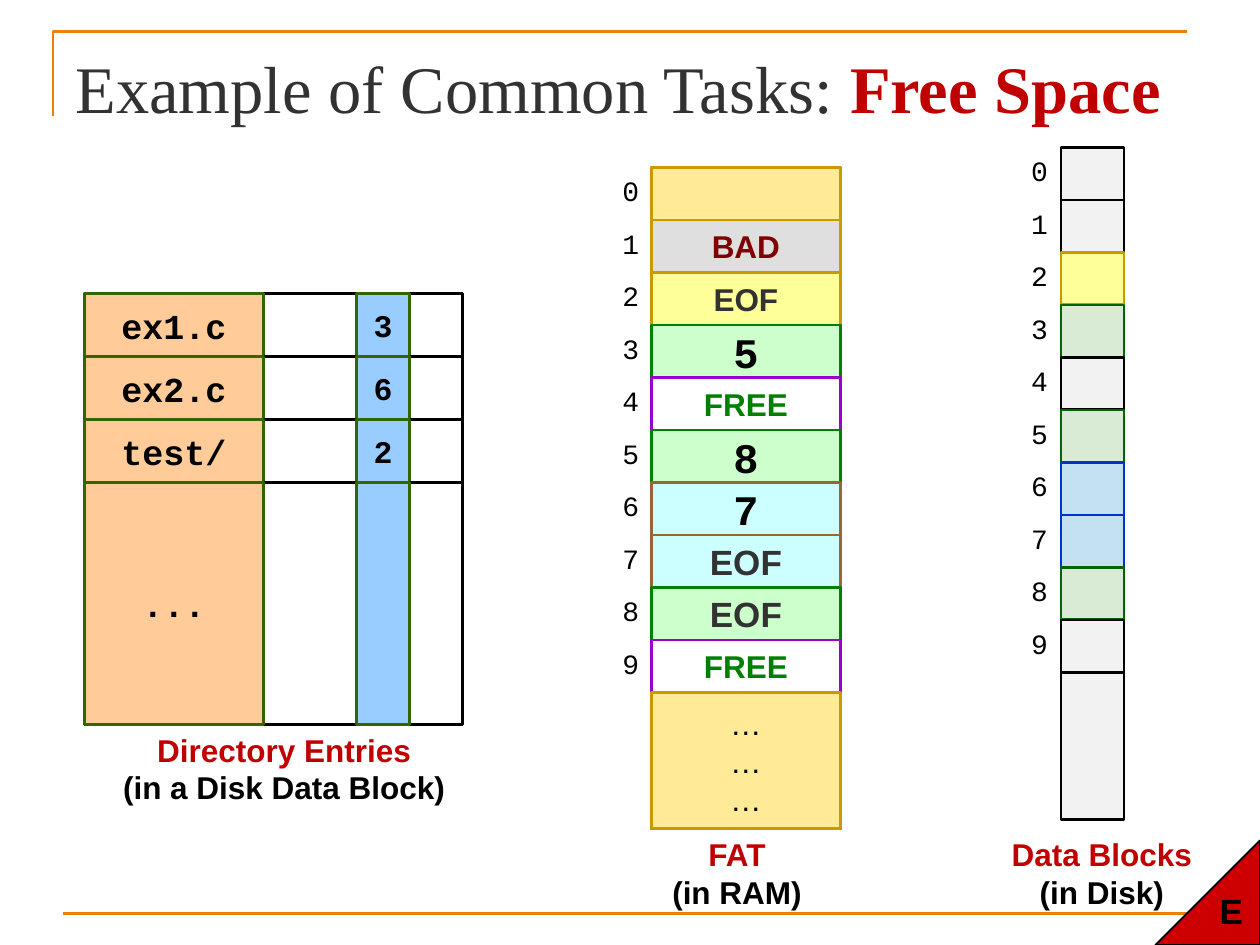
import pptx
import pptx.util
import pptx.dml.color
import pptx.enum.shapes
import pptx.enum.text
import pptx.oxml.ns
import lxml.etree

SANS, MONO, SERIF = "Arial", "Courier New", "Times New Roman"
BLACK, WHITE, RED, DARK, ORANGE = "000000", "FFFFFF", "C00000", "323232", "F07F09"
ROW = 5 / 12  # height of one numbered block

# Content
TITLE = [("Example of Common Tasks: ", DARK, False), ("Free Space", RED, True)]

DIRECTORY = [("ex1.c", "3", 0.5), ("ex2.c", "6", 0.5), ("test/", "2", 0.5), ("...", "", 1.92)]

BIG = dict(size=24, font=MONO, bold=True)
FREE = dict(size=18, color="008000", bold=True)
EOF = dict(size=20, color=DARK, bold=True)
FAT = [  # text, fill, line, format
    ("", "FFEB97", "CC9900", {}),
    ("BAD", "C0C0C0", "CC9900", dict(color="800000", bold=True)),
    ("EOF", "FFFF99", "CC9900", dict(color=DARK, bold=True)),
    ("5", "CCFFCC", "008000", BIG),
    ("FREE", WHITE, "9900CC", FREE),
    ("8", "CCFFCC", "008000", BIG),
    ("7", "CCFFFF", "996633", BIG),
    ("EOF", "CCFFFF", "996633", EOF),
    ("EOF", "CCFFCC", "008000", EOF),
    ("FREE", WHITE, "9900CC", FREE),
]

UNUSED, FOLDER = ("F2F2F2", BLACK), ("FFFF99", "CC9900")
FILE1, FILE2 = ("D9EAD5", "006600"), ("C4E1F2", "0033CC")
DISK = [UNUSED, UNUSED, FOLDER, FILE1, UNUSED, FILE1, FILE2, FILE2, FILE1, UNUSED]

CAPTIONS = [  # lines, left, top, width
    ("Directory Entries", "(in a Disk Data Block)", 0.67, 5.75, 3.17),
    ("FAT", "(in RAM)", 5.15, 6.58, 1.4),
    ("Data Blocks", "(in Disk)", 7.83, 6.58, 1.83),
]

prs = pptx.Presentation()
prs.slide_width, prs.slide_height = pptx.util.Inches(10), pptx.util.Inches(7.5)
s = prs.slides.add_slide(prs.slide_layouts[5])


def rgb(hex_color):
    return pptx.dml.color.RGBColor.from_string(hex_color)


def inches(*values):
    return [pptx.util.Inches(v) for v in values]


def add_run(p, text, size=18, font=SANS, color=BLACK, bold=False):
    r = p.add_run()
    r.text = text
    r.font.size, r.font.name, r.font.bold = pptx.util.Pt(size), font, bold
    r.font.color.rgb = rgb(color)


def write(sp, text, colors=(), wrap=False, anchor="MIDDLE", **fmt):
    """Fill a shape with centred lines; colors gives one colour per line."""
    tf = sp.text_frame
    tf.word_wrap = wrap
    tf.vertical_anchor = getattr(pptx.enum.text.MSO_ANCHOR, anchor)
    for i, line in enumerate(text.split("\n")):
        p = tf.paragraphs[0] if i == 0 else tf.add_paragraph()
        p.alignment = pptx.enum.text.PP_ALIGN.CENTER
        if colors:
            fmt["color"] = colors[i]
        add_run(p, line, **fmt)


def add_box(left, top, width, height, fill, line, text="", kind="RECTANGLE",
            weight=1.5, **fmt):
    shape_type = getattr(pptx.enum.shapes.MSO_SHAPE, kind)
    sp = s.shapes.add_shape(shape_type, *inches(left, top, width, height))
    sp.shadow.inherit = False
    sp.fill.solid()
    sp.fill.fore_color.rgb = rgb(fill)
    sp.line.color.rgb = rgb(line)
    sp.line.width = pptx.util.Pt(weight)
    if text:
        write(sp, text, **fmt)
    return sp


def add_label(left, top, width, height, text, **fmt):
    sp = s.shapes.add_textbox(*inches(left, top, width, height))
    write(sp, text, anchor="TOP", **fmt)


def set_orange_line(sp):
    sp.line.color.rgb = rgb(ORANGE)
    sp.line.width = pptx.util.Pt(1.5)


# Frame: corner at the top (in hundredths of an inch), rule at the bottom
builder = s.shapes.build_freeform(42, 92, scale=pptx.util.Inches(0.01))
builder.add_line_segments([(42, 25), (942, 25)], close=False)
corner = builder.convert_to_shape()
corner.fill.background()
corner.shadow.inherit = False
set_orange_line(corner)

rule = s.shapes.add_connector(pptx.enum.shapes.MSO_CONNECTOR.STRAIGHT,
                              *inches(0.5, 7.25, 9.5, 7.25))
set_orange_line(rule)
lxml.etree.SubElement(rule._element.spPr, pptx.oxml.ns.qn("a:effectLst"))

# Title
title = s.shapes.title
title.left, title.top, title.width, title.height = inches(0.5, 0.3, 9, 0.78)
title.text_frame.vertical_anchor = pptx.enum.text.MSO_ANCHOR.MIDDLE
title_p = title.text_frame.paragraphs[0]
title_p.alignment = pptx.enum.text.PP_ALIGN.LEFT
for text, color, bold in TITLE:
    add_run(title_p, text, size=38, font=SERIF, color=color, bold=bold)

# Corner marker
marker = add_box(9.17, 6.67, 0.83, 0.83, "CC0000", BLACK, "E", kind="RIGHT_TRIANGLE",
                 weight=1, wrap=True, size=20, bold=True)
marker.rotation = 270
tf = marker.text_frame
tf.margin_left, tf.margin_top, tf.margin_right, tf.margin_bottom = inches(0, 0.25, 0, 0.25)
tf._txBody.bodyPr.set("vert", "eaVert")

# Directory entries
top = 2.33
for name, block, height in DIRECTORY:
    add_box(0.67, top, 3, height, WHITE, BLACK)
    add_box(0.67, top, 1.42, height, "FFCC99", "336600", name, size=20, font=MONO, bold=True)
    add_box(2.83, top, 0.42, height, "99CCFF", "336600", block, font=MONO, bold=True)
    top += height

# Data blocks on the disk
for i, (fill, line) in enumerate(DISK):
    top = 1.17 + i * ROW
    add_box(8.42, top, 0.5, ROW, fill, line)
    add_label(8.08, top, 0.34, 0.37, str(i), size=16, font=MONO)
add_box(8.42, 1.17 + len(DISK) * ROW, 0.5, 1.17, *UNUSED)

# File allocation table
add_box(5.17, 1.33, 1.5, 5.25, WHITE, BLACK)
for i, (text, fill, line, fmt) in enumerate(FAT):
    top = 1.33 + i * ROW
    cell = add_box(5.17, top, 1.5, ROW, fill, line, text, **fmt)
    add_label(4.84, top, 0.32, 0.38, str(i), size=16, font=MONO)
    if text == "BAD":  # half-transparent fill
        clr = cell._element.spPr.find(".//" + pptx.oxml.ns.qn("a:srgbClr"))
        lxml.etree.SubElement(clr, pptx.oxml.ns.qn("a:alpha"), val="50000")
add_box(5.17, 1.33 + len(FAT) * ROW, 1.5, 1.08, "FFEB97", "CC9900", "…\n…\n…")

# Captions
for name, place, left, top, width in CAPTIONS:
    add_label(left, top, width, 0.7, name + "\n" + place, colors=(RED, BLACK),
              wrap=True, bold=True)

prs.save("out.pptx")
